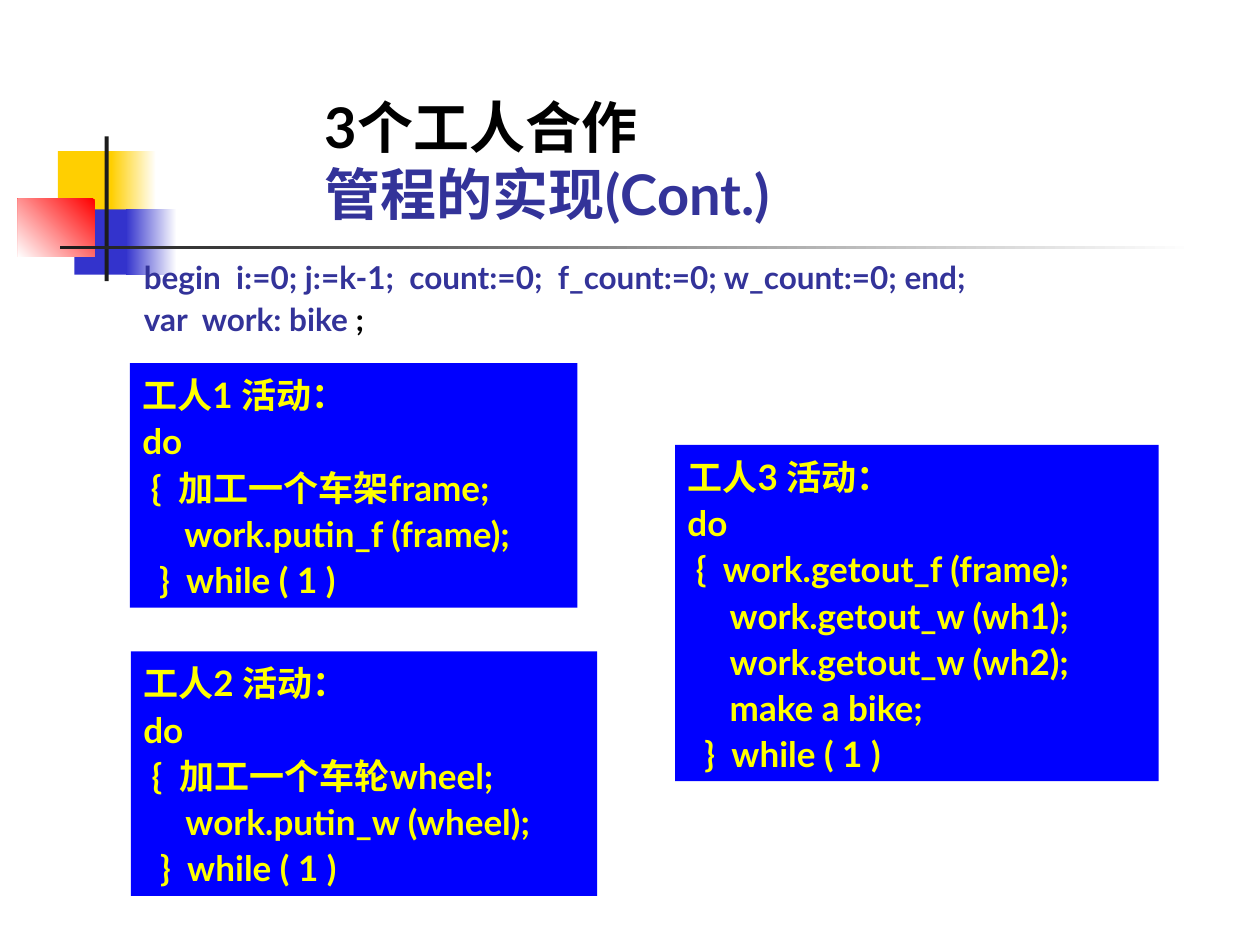
from dataclasses import dataclass

from pptx import Presentation
from pptx.dml.color import RGBColor as RGB
from pptx.enum.shapes import MSO_SHAPE as SHAPE
from pptx.enum.text import MSO_ANCHOR as ANCHOR, PP_ALIGN as ALIGN
from pptx.util import Cm, Pt


@dataclass(frozen=True)
class Theme:
    font: str = "Lato"
    white: str = "FFFFFF"
    black: str = "000000"
    gold: str = "FFCF01"
    blue: str = "3333CC"
    red: str = "FF0000"
    rule: str = "1C1C1C"
    navy: str = "333399"
    panel: str = "0000FF"
    code: str = "FFFF00"
    title_size: int = 32
    code_size: int = 20
    body_size: int = 18
    code_spacing: float = 1.1
    indent: float = 0.17


class Painter:
    """Draws the elements of one slide in a shared theme."""

    def __init__(self, slide, theme):
        self.s = slide
        self.t = theme

    def rect(self, x, y, w, h, color):
        sp = self.s.shapes.add_shape(SHAPE.RECTANGLE, Cm(x), Cm(y), Cm(w), Cm(h))
        sp.shadow.inherit = False
        sp.line.fill.background()
        sp.fill.solid()
        sp.fill.fore_color.rgb = RGB.from_string(color)
        return sp

    def fade(self, x, y, w, h, start, end, angle=180):
        fill = self.rect(x, y, w, h, start).fill
        fill.gradient()
        fill.gradient_angle = angle
        for stop, color in zip(fill.gradient_stops, (start, end)):
            stop.color.rgb = RGB.from_string(color)

    def set_lines(self, sp, lines, size, spacing=1.0, inset=(0.25, 0.13)):
        tf = sp.text_frame
        tf.word_wrap = True
        tf.vertical_anchor = ANCHOR.TOP
        tf.margin_left = tf.margin_right = Cm(inset[0])
        tf.margin_top = tf.margin_bottom = Cm(inset[1])
        for i, (level, runs) in enumerate(lines):
            p = tf.paragraphs[0] if i == 0 else tf.add_paragraph()
            p.alignment = ALIGN.LEFT
            p.line_spacing = spacing
            p._p.get_or_add_pPr().set("marL", str(Cm(level * self.t.indent)))
            for text, color in runs:
                r = p.add_run()
                r.text = text
                r.font.name = self.t.font
                r.font.size = Pt(size)
                r.font.bold = True
                r.font.color.rgb = RGB.from_string(color)

    def text(self, x, y, w, h, lines, size, **style):
        sp = self.s.shapes.add_textbox(Cm(x), Cm(y), Cm(w), Cm(h))
        self.set_lines(sp, [(0, runs) for runs in lines], size, **style)

    def worker(self, x, y, w, h, number, first, calls):
        t = self.t
        lines = [(0, f"工人{number} 活动："), (0, "do"), (1, "{  " + first)]
        lines += [(5, call) for call in calls] + [(2, "}  while ( 1 )")]
        self.set_lines(self.rect(x, y, w, h, t.panel),
                       [(level, [(text, t.code)]) for level, text in lines],
                       t.code_size, t.code_spacing)

    def ornament(self):
        t = self.t
        self.rect(1.17, 3.05, 1.22, 1.32, t.gold)
        self.fade(2.24, 3.05, 0.91, 1.32, t.white, t.gold)
        self.rect(1.5, 4.22, 1.17, 1.32, t.blue)
        self.fade(2.54, 4.22, 1.02, 1.32, t.white, t.blue)
        self.fade(0.36, 4.01, 1.55, 1.17, t.red, t.white, 225)
        self.rect(2.11, 2.75, 0.08, 2.92, t.rule)
        self.fade(1.22, 4.95, 22.86, 0.08, t.white, t.rule)


def main():
    prs = Presentation()
    prs.slide_width, prs.slide_height = Cm(25.4), Cm(19.05)
    t = Theme()
    slide = Painter(prs.slides.add_slide(prs.slide_layouts[6]), t)
    slide.ornament()
    slide.text(2.9, 5.13, 20.6, 1.68, [
        [("begin  i:=0; j:=k-1;  count:=0;  f_count:=0; w_count:=0; end;", t.navy)],
        [("var  work: bike", t.navy), (" ;", t.black)],
    ], t.body_size, spacing=t.code_spacing, inset=(0, 0))
    slide.worker(2.62, 7.32, 9.02, 4.93, 1, "加工一个车架frame;",
                 ["work.putin_f (frame);"])
    slide.worker(13.61, 8.97, 9.75, 6.78, 3, "work.getout_f (frame);",
                 ["work.getout_w (wh1);", "work.getout_w (wh2);", "make a bike;"])
    slide.worker(2.64, 13.13, 9.4, 4.93, 2, "加工一个车轮wheel;",
                 ["work.putin_w (wheel);"])
    slide.text(6.3, 1.73, 11, 2.97, [
        [("3个工人合作", t.black)], [("管程的实现(Cont.)", t.navy)],
    ], t.title_size)
    prs.save("out.pptx")


if __name__ == "__main__":
    main()
